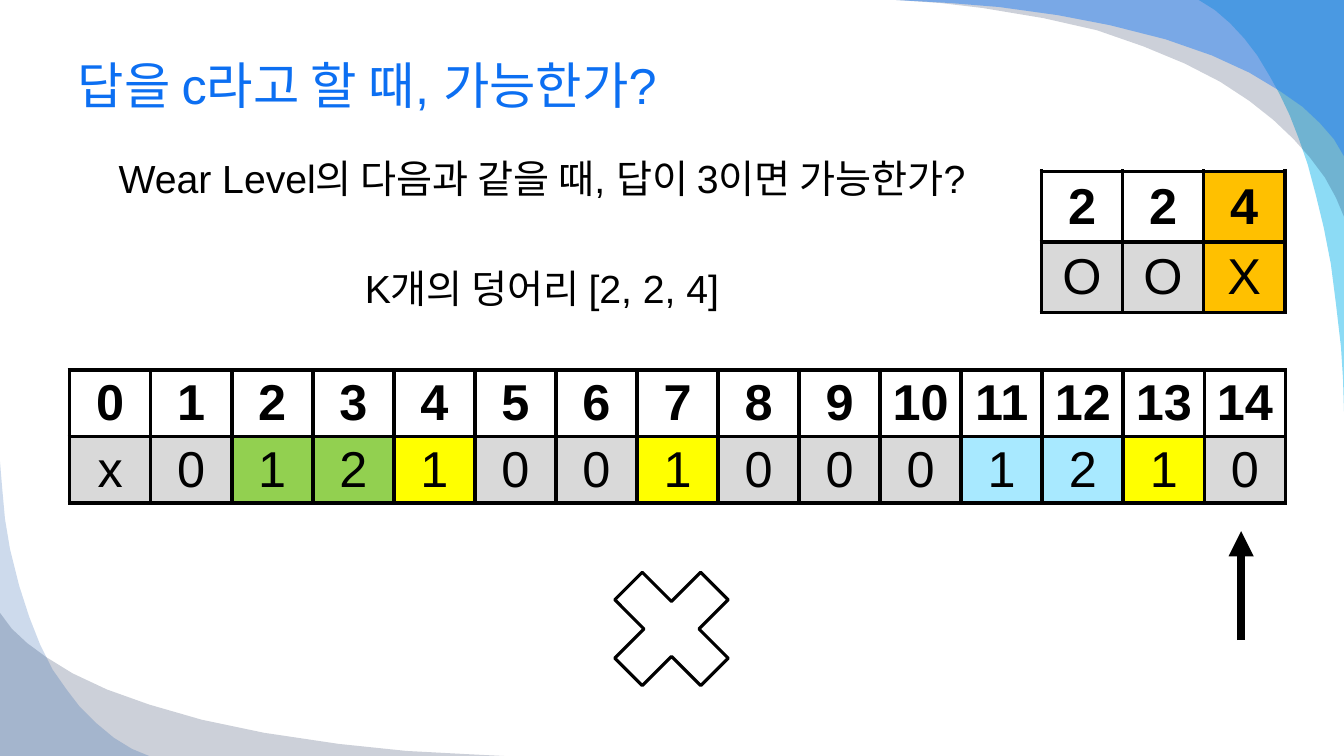
"""Builds the slide that tests whether answer c is possible for the wear levels."""
from lxml.etree import SubElement
from pptx import Presentation
from pptx.dml.color import RGBColor
from pptx.enum.shapes import MSO_CONNECTOR, MSO_SHAPE
from pptx.enum.text import MSO_ANCHOR, PP_ALIGN
from pptx.oxml import parse_xml
from pptx.oxml.ns import nsdecls, qn
from pptx.util import Inches, Pt

FONT = "Arial"
COLORS = {
    "black": "000000", "white": "FFFFFF", "title": "0C6FF2", "gray": "D9D9D9",
    "green": "92D050", "yellow": "FFFF00", "sky": "A8E9FF", "orange": "FFC000",
    "cyan": "00B1E9", "navy": "021741", "azure": "247FF4", "cobalt": "084AA1",
}
TITLE = "답을 c라고 할 때, 가능한가?"
QUESTION = ["Wear Level의 다음과 같을 때, 답이 3이면 가능한가?", "K개의 덩어리 [2, 2, 4]"]
LEVELS = {
    "left": 0.69, "top": 3.67,
    "rows": [[str(number) for number in range(15)], list("x01210010001210")],
    "fills": {(1, 2): "green", (1, 3): "green", (1, 4): "yellow", (1, 7): "yellow",
              (1, 11): "sky", (1, 12): "sky", (1, 13): "yellow"},
}
CHUNKS = {
    "left": 10.33, "top": 1.7,
    "rows": [list("224"), list("OOX")],
    "fills": {(0, 2): "orange", (1, 2): "orange"},
}
CELL_WIDTH, CELL_HEIGHT = 0.804, 0.64
WAVES = [
    ("cyan", 45, [(13.33, 4.08), (13.33, 0), (11.89, 0), (12.05, 0.1), (12.2, 0.23),
                  (12.34, 0.38), (12.47, 0.55), (12.59, 0.75), (12.69, 0.93), (12.79, 1.14),
                  (12.88, 1.37), (12.97, 1.63), (13.05, 1.93), (13.13, 2.26), (13.2, 2.62),
                  (13.25, 3.01), (13.3, 3.44), (13.32, 3.75)]),
    ("navy", 20, [(8.89, 0), (13.33, 0), (13.33, 2.15), (13.25, 1.96), (13.14, 1.76),
                  (12.99, 1.56), (12.83, 1.38), (12.63, 1.19), (12.39, 1), (12.1, 0.81),
                  (11.75, 0.63), (11.34, 0.46), (10.88, 0.3), (10.35, 0.18), (9.75, 0.08),
                  (9.33, 0.03)]),
    ("azure", 49, [(8.89, 0), (13.33, 0), (13.33, 1.55), (13.23, 1.38), (13.09, 1.22),
                   (12.92, 1.06), (12.69, 0.9), (12.39, 0.72), (12.02, 0.55), (11.56, 0.39),
                   (11.01, 0.25), (10.49, 0.15), (9.91, 0.07), (9.42, 0.03)]),
    ("navy", 20, [(5, 7.5), (0, 7.5), (0, 6.08), (0.12, 6.24), (0.27, 6.38), (0.46, 6.52),
                  (0.72, 6.68), (1.06, 6.84), (1.48, 6.99), (2, 7.14), (2.62, 7.27),
                  (3.36, 7.38), (4.03, 7.45), (4.6, 7.48)]),
    ("cobalt", 20, [(0, 4.58), (0, 7.5), (1.48, 7.5), (1.31, 7.43), (1.13, 7.32),
                    (0.95, 7.17), (0.79, 7.01), (0.66, 6.84), (0.52, 6.64), (0.4, 6.4),
                    (0.29, 6.12), (0.19, 5.81), (0.1, 5.45), (0.05, 5.15), (0.02, 4.82)]),
]


def color(name):
    return RGBColor.from_string(COLORS[name])


def paint(target, name):
    target.fill.solid()
    target.fill.fore_color.rgb = color(name)


def style(para, size, name="black", align=PP_ALIGN.CENTER, bold=False):
    para.alignment = align
    para.font.name = FONT
    para.font.size = Pt(size)
    para.font.bold = bold
    para.font.color.rgb = color(name)


def add_wave(page, name, opacity, points):
    corners = [(Inches(x), Inches(y)) for x, y in points]
    builder = page.shapes.build_freeform(*corners[0])
    builder.add_line_segments(corners[1:])
    wave = builder.convert_to_shape()
    wave.shadow.inherit = False
    paint(wave, name)
    wave.line.fill.background()
    tone = wave.fill._xPr.find(qn("a:solidFill"))[0]
    SubElement(tone, qn("a:alpha"), val=str(opacity * 1000))


def add_borders(cell):
    properties = cell._tc.get_or_add_tcPr()
    for index, side in enumerate("LRTB"):
        properties.insert(index, parse_xml(
            f'<a:ln{side} {nsdecls("a")} w="{Pt(3)}"><a:solidFill>'
            f'<a:srgbClr val="{COLORS["black"]}"/></a:solidFill></a:ln{side}>'))


def add_grid(page, left, top, rows, fills):
    count = len(rows[0])
    table = page.shapes.add_table(
        len(rows), count, Inches(left), Inches(top),
        Inches(CELL_WIDTH * count), Inches(CELL_HEIGHT * len(rows))).table
    table.first_row = table.horz_banding = False
    for r, row in enumerate(rows):
        for c, text in enumerate(row):
            cell = table.cell(r, c)
            cell.text = text
            cell.vertical_anchor = MSO_ANCHOR.MIDDLE
            style(cell.text_frame.paragraphs[0], 36, bold=r == 0)
            paint(cell, fills.get((r, c), "gray" if r else "white"))
            add_borders(cell)


def add_question(page):
    frame = page.shapes.add_textbox(
        Inches(0.67), Inches(1.48), Inches(9.41), Inches(1.82)).text_frame
    frame.word_wrap = True
    frame.text = "\n".join(QUESTION)
    for para in frame.paragraphs:
        style(para, 28)
    frame.paragraphs[1].space_before = Pt(45)


def add_arrow(page):
    arrow = page.shapes.add_connector(
        MSO_CONNECTOR.STRAIGHT, Inches(12.31), Inches(6.35), Inches(12.31), Inches(5.27))
    arrow.line.color.rgb = color("black")
    arrow.line.width = Pt(6)
    SubElement(arrow.line._get_or_add_ln(), qn("a:tailEnd"), type="triangle")
    SubElement(arrow._element.spPr, qn("a:effectLst"))


def add_cross(page):
    cross = page.shapes.add_shape(
        MSO_SHAPE.MATH_MULTIPLY, Inches(5.84), Inches(5.42), Inches(1.64), Inches(1.64))
    cross.shadow.inherit = False
    paint(cross, "white")
    cross.line.color.rgb = color("black")
    cross.line.width = Pt(2.25)


def main():
    deck = Presentation()
    deck.slide_width, deck.slide_height = Inches(13.33), Inches(7.5)
    page = deck.slides.add_slide(deck.slide_layouts[5])
    for wave in WAVES:
        add_wave(page, *wave)
    title = page.shapes.title
    title.left, title.top = Inches(0.67), Inches(0.33)
    title.width, title.height = Inches(12), Inches(1.01)
    title.text_frame.text = TITLE
    title.text_frame.vertical_anchor = MSO_ANCHOR.MIDDLE
    style(title.text_frame.paragraphs[0], 36, "title", PP_ALIGN.LEFT)
    add_grid(page, **LEVELS)
    add_question(page)
    add_grid(page, **CHUNKS)
    add_arrow(page)
    add_cross(page)
    deck.save("out.pptx")


if __name__ == "__main__":
    main()
